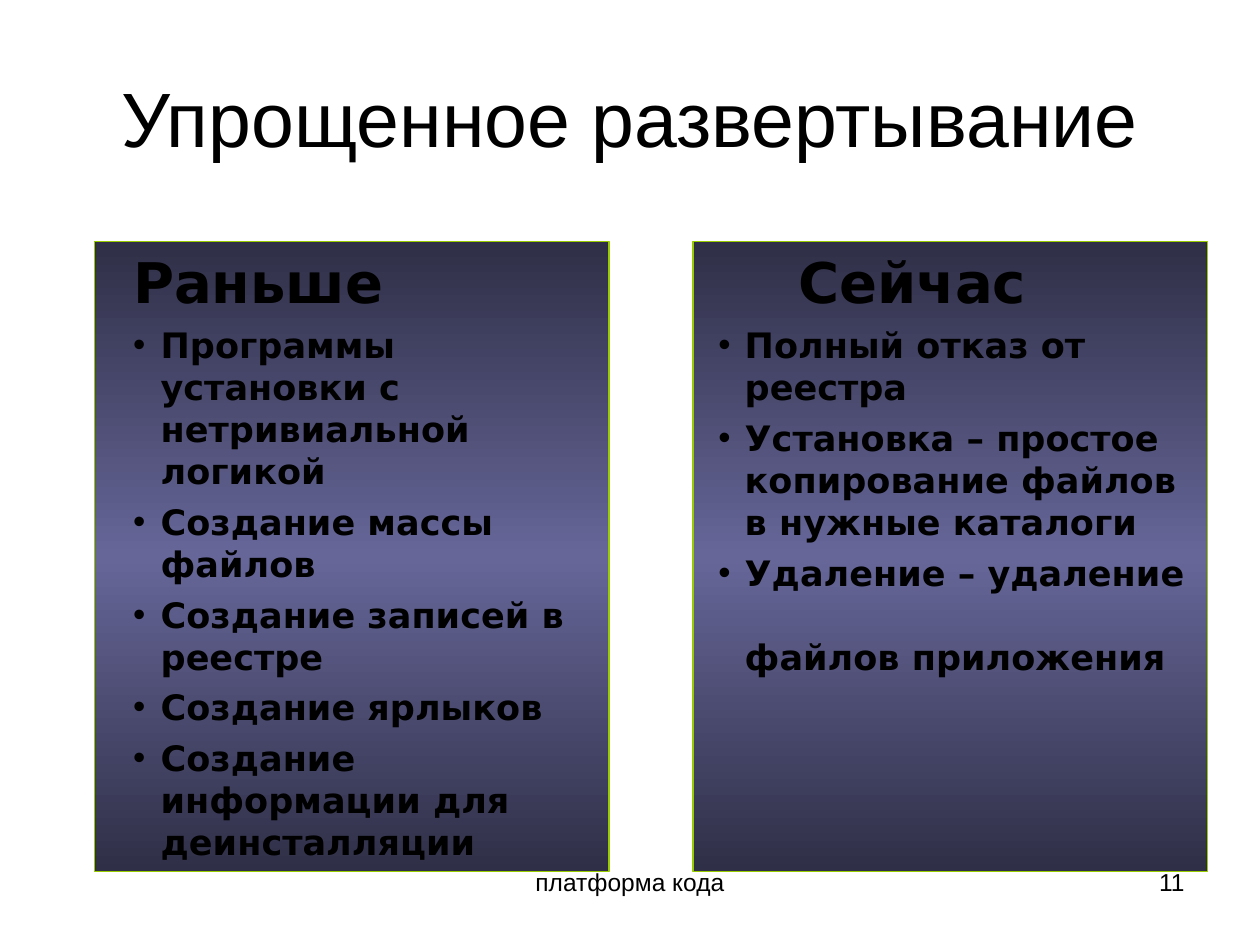
from copy import deepcopy
from dataclasses import dataclass

from lxml import etree
from pptx import Presentation
from pptx.dml.color import RGBColor
from pptx.enum.shapes import MSO_SHAPE
from pptx.enum.text import MSO_ANCHOR, PP_ALIGN
from pptx.oxml.ns import qn
from pptx.util import Emu, Pt

RECTANGLE = MSO_SHAPE.RECTANGLE
TOP, MIDDLE = MSO_ANCHOR.TOP, MSO_ANCHOR.MIDDLE
LEFT, CENTER, RIGHT = PP_ALIGN.LEFT, PP_ALIGN.CENTER, PP_ALIGN.RIGHT
TITLE_ONLY = 5


@dataclass(frozen=True)
class Theme:
    ink: str = "000000"
    edge: str = "99CC00"
    dark: str = "2F2F47"
    light: str = "666699"
    plain_font: str = "Arial"
    panel_font: str = "DejaVu Sans"
    title_size: int = 44
    heading_size: int = 32
    bullet_size: int = 20
    footer_size: int = 14


THEME = Theme()
PANEL_TOP, PANEL_WIDTH, PANEL_HEIGHT = 184, 392, 480
BEFORE = [
    "Программы \vустановки с \vнетривиальной \vлогикой",
    "Создание массы \vфайлов",
    "Создание записей в \vреестре",
    "Создание ярлыков",
    "Создание \vинформации для \vдеинсталляции",
]
NOW = [
    "Полный отказ от \vреестра",
    "Установка – простое \vкопирование файлов \vв нужные каталоги",
    "Удаление – удаление \vфайлов приложения",
]


def px(length):
    return Emu(length * 9525)


def place(shape, *bounds):
    shape.left, shape.top, shape.width, shape.height = map(px, bounds)


def write(para, text, size, font=THEME.plain_font, align=LEFT, bold=False):
    para.text = text
    para.alignment = align
    para.font.name = font
    para.font.size = Pt(size)
    para.font.bold = bold
    para.font.color.rgb = RGBColor.from_string(THEME.ink)


def indent(para, margin, first_line):
    properties = para._p.get_or_add_pPr()
    properties.set("marL", str(px(margin)))
    properties.set("indent", str(px(first_line)))
    return properties


def add_bullet(para, margin, first_line):
    properties = indent(para, margin, first_line)
    color = etree.SubElement(properties, qn("a:buClr"))
    etree.SubElement(color, qn("a:srgbClr"), val=THEME.ink)
    etree.SubElement(properties, qn("a:buFont"), typeface=THEME.plain_font)
    etree.SubElement(properties, qn("a:buChar"), char="•")


def fill_with_band(shape):
    fill = shape.fill
    fill.gradient()
    fill.gradient_angle = 270
    stops = shape.element.spPr.find(qn("a:gradFill")).find(qn("a:gsLst"))
    stops.append(deepcopy(stops[0]))
    colors = (THEME.dark, THEME.light, THEME.dark)
    for stop, position, color in zip(fill.gradient_stops, (0, 0.5, 1), colors):
        stop.position = position
        stop.color.rgb = RGBColor.from_string(color)


def add_title(page, text):
    title = page.shapes.title
    place(title, 48, 29, 864, 120)
    title.text_frame.vertical_anchor = MIDDLE
    write(title.text_frame.paragraphs[0], text, THEME.title_size, align=CENTER)


def add_panel(page, left, heading, heading_indent, bullets, bullet_indent, level):
    panel = page.shapes.add_shape(
        RECTANGLE, px(left), px(PANEL_TOP), px(PANEL_WIDTH), px(PANEL_HEIGHT)
    )
    panel.shadow.inherit = False
    fill_with_band(panel)
    panel.line.color.rgb = RGBColor.from_string(THEME.edge)
    panel.line.width = Pt(1)
    frame = panel.text_frame
    frame.word_wrap = True
    frame.vertical_anchor = TOP
    para = frame.paragraphs[0]
    para.level = 1
    indent(para, *heading_indent)
    write(para, heading, THEME.heading_size, THEME.panel_font, bold=True)
    for bullet in bullets:
        para = frame.add_paragraph()
        para.level = level
        add_bullet(para, *bullet_indent)
        para.space_before = Pt(5)
        write(para, bullet, THEME.bullet_size, THEME.panel_font, bold=True)


def add_footer(page, left, width, text, align):
    box = page.shapes.add_textbox(px(left), px(656), px(width), px(50))
    box.text_frame.word_wrap = True
    write(box.text_frame.paragraphs[0], text, THEME.footer_size, align=align)


def main():
    deck = Presentation()
    deck.slide_width, deck.slide_height = px(960), px(720)
    page = deck.slides.add_slide(deck.slide_layouts[TITLE_ONLY])
    add_title(page, "Упрощенное развертывание")
    add_footer(page, 328, 304, "платформа кода", CENTER)
    add_footer(page, 688, 224, "11", RIGHT)
    add_panel(page, 72, "Раньше", (41, -21), BEFORE, (41, -21), 1)
    add_panel(page, 528, "Сейчас", (101, -30), NOW, (30, -20), 0)
    deck.save("out.pptx")


if __name__ == "__main__":
    main()
